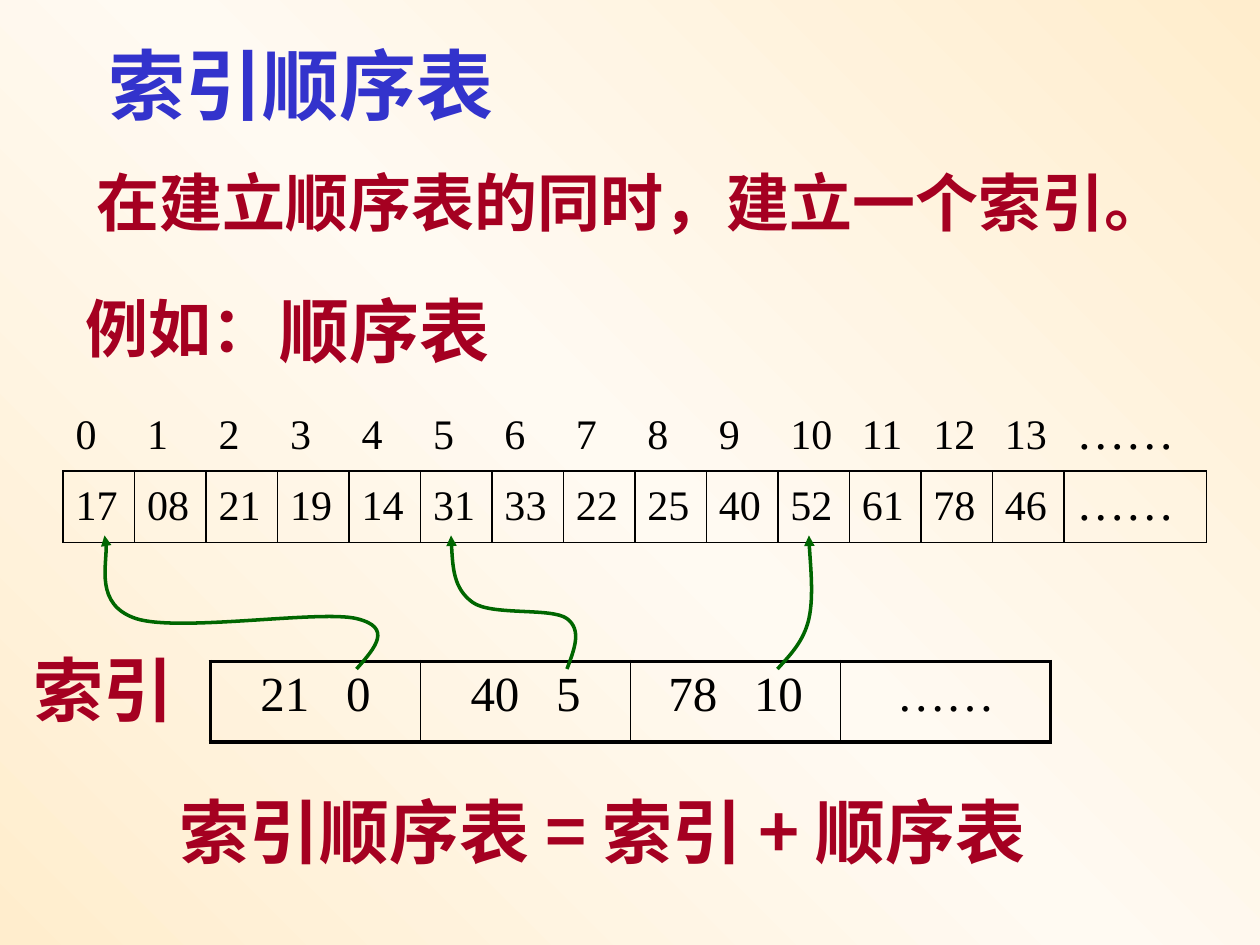
from copy import deepcopy
from pptx import Presentation
from pptx.dml.color import RGBColor
from pptx.enum.text import MSO_ANCHOR as Anchor, MSO_AUTO_SIZE as Auto, PP_ALIGN as Align
from pptx.oxml import parse_xml
from pptx.oxml.ns import nsdecls, qn
from pptx.util import Inches, Pt

BLUE = RGBColor(0x33, 0x33, 0xCC)
RED = RGBColor(0xA5, 0x00, 0x21)
GREEN = RGBColor(0x00, 0x66, 0x00)
BLACK = RGBColor(0, 0, 0)
CREAM = RGBColor(0xFF, 0xED, 0xCD)
PALE = RGBColor(0xFF, 0xFA, 0xF2)
ROMAN, SANS = "Times New Roman", "Noto Sans CJK SC"
PLAIN = "{2D5ABB26-0587-4C30-8999-92F81FD0307C}"
DOTS = "……"

TITLE = ("索引顺序表", (0.76, 0.25, 3.3, 0.84), 44, ROMAN, BLUE, False)
TEXTS = [
    ("在建立顺序表的同时，建立一个索引。", (0.67, 1.25, 9.08, 0.7), 36, ROMAN, RED, True),
    ("例如：", (0.58, 2.25, 1.58, 0.7), 36, ROMAN, RED, True),
    ("顺序表", (2.12, 2.23, 1.88, 0.77), 40, SANS, RED, False),
    ("索引", (0.17, 5.08, 1.32, 0.77), 40, SANS, RED, False),
    ("索引顺序表 = 索引 + 顺序表", (1.33, 6.21, 7.75, 0.77), 40, SANS, RED, True),
]
KEYS = ["17", "08", "21", "19", "14", "31", "33", "22", "25", "40", "52", "61", "78", "46"]
INDEX = [("21", "0"), ("40", "5"), ("78", "10"), (DOTS,)]
LIST = (0.5, 3.17, 9.08, 1.13)
BOX = (1.67, 5.25, 6.67, 0.64)
CURVES = [
    [(2.83, 5.31), (2.98, 5.14), (3.12, 4.98), (2.83, 4.91), (2.54, 4.84),
     (1.42, 5.02), (1.08, 4.91), (0.75, 4.8), (0.88, 4.36), (0.83, 4.25)],
    [(4.5, 5.31), (4.56, 5.15), (4.62, 5), (4.5, 4.91), (4.38, 4.82),
     (3.9, 4.89), (3.75, 4.78), (3.6, 4.67), (3.59, 4.46), (3.58, 4.25)],
    [(6.17, 5.31), (6.27, 5.2), (6.38, 5.09), (6.42, 4.91),
     (6.46, 4.73), (6.42, 4.36), (6.42, 4.25)],
]


def style(run, size, font, color, bold=False):
    run.font.size, run.font.name, run.font.bold = Pt(size), font, bold
    run.font.color.rgb = color
    east = parse_xml(f'<a:ea {nsdecls("a")} typeface="{SANS}"/>')
    run.font._element.find(qn("a:latin")).addnext(east)


def write(shape, text, at, size, font, color, wrap):
    shape.left, shape.top, shape.width, shape.height = map(Inches, at)
    frame = shape.text_frame
    frame.text = text
    frame.word_wrap, frame.auto_size = wrap, Auto.SHAPE_TO_FIT_TEXT
    frame.vertical_anchor = Anchor.TOP
    para = frame.paragraphs[0]
    para.alignment = Align.LEFT
    style(para.runs[0], size, font, color, True)


def grid(shapes, at, shares, rows):
    frame = shapes.add_table(rows, len(shares), *map(Inches, at))
    table = frame.table
    table.first_row = table.horz_banding = False
    frame._element.find(".//" + qn("a:tableStyleId")).text = PLAIN
    for col, share in zip(table.columns, shares):
        col.width = Inches(at[2] * share / sum(shares))
    for row in table.rows:
        row.height = Inches(at[3] / rows)
    return table


def fill(cell, parts, size, edges, align=Align.LEFT, anchor=Anchor.TOP):
    para = cell.text_frame.paragraphs[0]
    para.alignment, cell.vertical_anchor = align, anchor
    for i, part in enumerate(parts):
        if i:
            gap = para.add_run()
            gap.text = " "
            style(gap, size, ROMAN, BLACK)
            gap.font._element.set("spc", "1400")
        run = para.add_run()
        run.text = part
        style(run, size, ROMAN, BLACK)
    props = cell._tc.get_or_add_tcPr()
    for side in "LRTB":
        if side in edges:
            props.append(parse_xml(
                f'<a:ln{side} {nsdecls("a")} w="{Pt(edges[side])}"><a:solidFill>'
                f'<a:srgbClr val="{BLACK}"/></a:solidFill></a:ln{side}>'))
    cell.fill.background()


def curve(shapes, points):
    start, *rest = [(round(x * 100), round(y * 100)) for x, y in points]
    pen = shapes.build_freeform(*start, scale=Inches(0.01))
    pen.add_line_segments(rest, close=False)
    shape = pen.convert_to_shape()
    shape.shadow.inherit = False
    shape.fill.background()
    shape.line.color.rgb, shape.line.width = GREEN, Pt(2)
    shape.line._get_or_add_ln().append(
        parse_xml(f'<a:tailEnd {nsdecls("a")} type="triangle"/>'))
    track = shape._element.find(".//" + qn("a:path"))
    steps = track.findall(qn("a:lnTo"))
    for i in range(0, len(steps), 3):
        bend = parse_xml(f'<a:cubicBezTo {nsdecls("a")}/>')
        for step in steps[i:i + 3]:
            bend.append(step[0])
            track.remove(step)
        track.append(bend)


def paint(slide):
    back = slide.background.fill
    back.gradient()
    back.gradient_angle = 45
    stops = next(slide.element.iter(qn("a:gsLst")))
    stops.insert(1, deepcopy(stops[0]))
    for stop, color, pos in zip(back.gradient_stops, (CREAM, PALE, CREAM), (0, 0.5, 1)):
        stop.color.rgb, stop.position = color, pos


def main():
    deck = Presentation()
    deck.slide_width, deck.slide_height = Inches(10), Inches(7.5)
    slide = deck.slides.add_slide(deck.slide_layouts[5])
    shapes = slide.shapes
    paint(slide)
    write(shapes.title, *TITLE)

    count = len(KEYS)
    table = grid(shapes, LIST, [1] * count + [2], 2)
    heads = [str(i) for i in range(count)]
    for r, (line, edges) in enumerate([(heads, {"B": 1}), (KEYS, dict.fromkeys("LRTB", 1))]):
        for c, text in enumerate(line):
            fill(table.cell(r, c), [text], 24, edges, anchor=Anchor.MIDDLE)
        fill(table.cell(r, count), [DOTS], 28, edges)

    last = len(INDEX) - 1
    table = grid(shapes, BOX, [1] * len(INDEX), 1)
    for c, parts in enumerate(INDEX):
        edges = {"L": 1 if c else 2.25, "R": 1 if c < last else 2.25, "T": 2.25, "B": 2.25}
        fill(table.cell(0, c), parts, 28, edges, Align.CENTER)

    for points in CURVES:
        curve(shapes, points)
    for item in TEXTS:
        write(shapes.add_textbox(0, 0, 0, 0), *item)
    deck.save("out.pptx")


if __name__ == "__main__":
    main()
